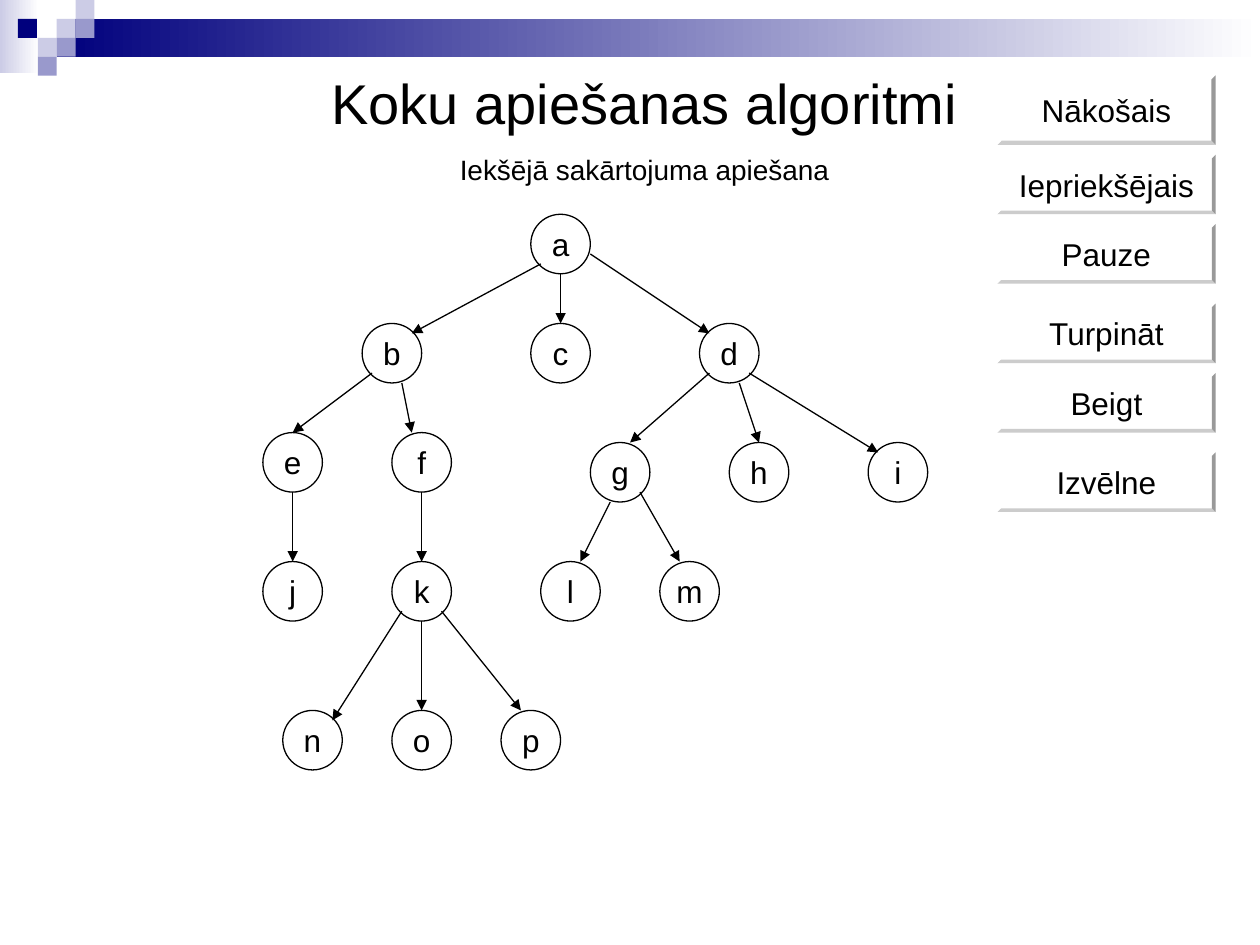
from typing import NamedTuple

from lxml import etree
from pptx import Presentation, util as u
from pptx.dml import color as col
from pptx.enum import shapes as sh, text as tx
from pptx.oxml import ns

HUES = {"ink": "000000", "paper": "FFFFFF", "navy": "00007D",
        "mid": "9999CC", "pale": "CCCCE6"}
GRID, TILE = 5.67, 10.8
FONT = "Arial"


class Tile(NamedTuple):
    col: float
    row: float
    hue: str


class Node(NamedTuple):
    name: str
    x: int
    y: int


class Edge(NamedTuple):
    ends: str
    out: tuple[int, int] = (0, 3)
    into: tuple[int, int] = (0, -3)


class Button(NamedTuple):
    name: str
    y: int
    high: int = 6


TILES = [Tile(3, 1, "pale"), Tile(4, 0, "pale"), Tile(4, 1, "mid"),
         Tile(2, 2, "pale"), Tile(0.95, 1, "navy"), Tile(3, 2, "mid"),
         Tile(2, 3, "mid")]

NODES = [Node("a", 56, 24), Node("b", 39, 35), Node("c", 56, 35),
         Node("d", 73, 35), Node("e", 29, 46), Node("f", 42, 46),
         Node("g", 62, 47), Node("h", 76, 47), Node("i", 90, 47),
         Node("j", 29, 59), Node("k", 42, 59), Node("l", 57, 59),
         Node("m", 69, 59), Node("n", 31, 74), Node("o", 42, 74),
         Node("p", 53, 74)]

EDGES = [Edge("ab", (-2, 2), (2, -2)), Edge("ac"),
         Edge("ad", (3, 1), (-2, -2)), Edge("be", (-2, 2)),
         Edge("bf", (1, 3), (-1, -3)), Edge("dg", (-2, 2), (1, -3)),
         Edge("dh", (1, 3)), Edge("di", (2, 2), (-2, -2)),
         Edge("ej"), Edge("fk"), Edge("gl", (-1, 3), (1, -3)),
         Edge("gm", (2, 2), (-1, -3)), Edge("kn", (-2, 2), (2, -2)),
         Edge("ko"), Edge("kp", (2, 2), (-1, -3))]

BUTTONS = [Button("Nākošais", 7, 7), Button("Iepriekšējais", 15),
           Button("Pauze", 22), Button("Turpināt", 30),
           Button("Beigt", 37), Button("Izvēlne", 45)]


def rgb(hue: str) -> col.RGBColor:
    """Return the named colour."""
    return col.RGBColor.from_string(HUES[hue])


def spot(x: float, y: float) -> tuple[u.Length, u.Length]:
    """Turn grid steps into a place on the slide."""
    return u.Pt(round((x + 0.5) * GRID, 2)), u.Pt(round((y + 0.6) * GRID, 2))


def shape(page, kind, left, top, wide, high, hue="paper"):
    """Add a flat filled shape without an outline."""
    item = page.shapes.add_shape(kind, left, top, wide, high)
    item.shadow.inherit = False
    item.fill.solid()
    item.fill.fore_color.rgb = rgb(hue)
    item.line.fill.background()
    return item


def fade(page, left: float, top: float, wide: float, high: float, hue: str) -> None:
    """Add a bar that fades to white on its right."""
    bar = shape(page, sh.MSO_SHAPE.RECTANGLE, *map(u.Pt, (left, top, wide, high)))
    bar.fill.gradient()
    bar.fill.gradient_angle = 0
    for stop, tone in zip(bar.fill.gradient_stops, (hue, "paper")):
        stop.color.rgb = rgb(tone)


def write(para, words: str, size: float) -> None:
    """Fill a centred paragraph."""
    para.text = words
    para.alignment = tx.PP_ALIGN.CENTER
    para.font.size = u.Pt(size)
    para.font.name = FONT
    para.font.color.rgb = rgb("ink")


def label(item, words: str) -> None:
    """Put a name in the middle of a shape."""
    frame = item.text_frame
    frame.word_wrap = False
    frame.vertical_anchor = tx.MSO_ANCHOR.MIDDLE
    write(frame.paragraphs[0], words, 18)


def title(page) -> None:
    """Add the heading and the line below it."""
    box = page.shapes.add_textbox(*map(u.Pt, (127.44, 31.68, 481.68, 74.88)))
    frame = box.text_frame
    frame.word_wrap = True
    frame.margin_top = u.Pt(7.2)
    write(frame.paragraphs[0], "Koku apiešanas algoritmi", 32)
    para = frame.add_paragraph()
    write(para, "Iekšējā sakārtojuma apiešana", 16)
    para.space_before = u.Pt(10)


def press(page, key: Button) -> None:
    """Add a bevelled button."""
    item = shape(page, sh.MSO_SHAPE.BEVEL, *spot(100, key.y),
                 u.Pt(22 * GRID), u.Pt(key.high * GRID))
    item.adjustments[0] = 0.06
    label(item, key.name)


def ring(page, node: Node) -> None:
    """Add a tree node."""
    side = u.Pt(6 * GRID)
    item = shape(page, sh.MSO_SHAPE.OVAL, *spot(node.x - 3, node.y - 3), side, side)
    item.line.color.rgb = rgb("ink")
    item.line.width = u.Pt(0.75)
    label(item, node.name)


def arrow(page, edge: Edge, nodes: dict[str, Node]) -> None:
    """Add an arrow from parent to child."""
    ends = [spot(nodes[name].x + dx, nodes[name].y + dy)
            for name, (dx, dy) in zip(edge.ends, (edge.out, edge.into))]
    item = page.shapes.add_connector(sh.MSO_CONNECTOR.STRAIGHT, *ends[0], *ends[1])
    item.line.color.rgb = rgb("ink")
    item.line.width = u.Pt(0.75)
    etree.SubElement(item.line._get_or_add_ln(), ns.qn("a:tailEnd"), type="triangle")
    etree.SubElement(item._element.spPr, ns.qn("a:effectLst"))


def main() -> None:
    """Build and save the slide."""
    deck = Presentation()
    deck.slide_width, deck.slide_height = u.Pt(720), u.Pt(540)
    page = deck.slides.add_slide(deck.slide_layouts[6])
    fade(page, 0, 0, 22.32, 41.76, "pale")
    fade(page, 32.4, TILE, 687.6, 2 * TILE, "navy")
    for tile in TILES:
        shape(page, sh.MSO_SHAPE.RECTANGLE, u.Pt(tile.col * TILE),
              u.Pt(tile.row * TILE), u.Pt(TILE), u.Pt(TILE), tile.hue)
    title(page)
    for key in BUTTONS:
        press(page, key)
    for node in NODES:
        ring(page, node)
    nodes = {node.name: node for node in NODES}
    for edge in EDGES:
        arrow(page, edge, nodes)
    deck.save("out.pptx")


if __name__ == "__main__":
    main()
